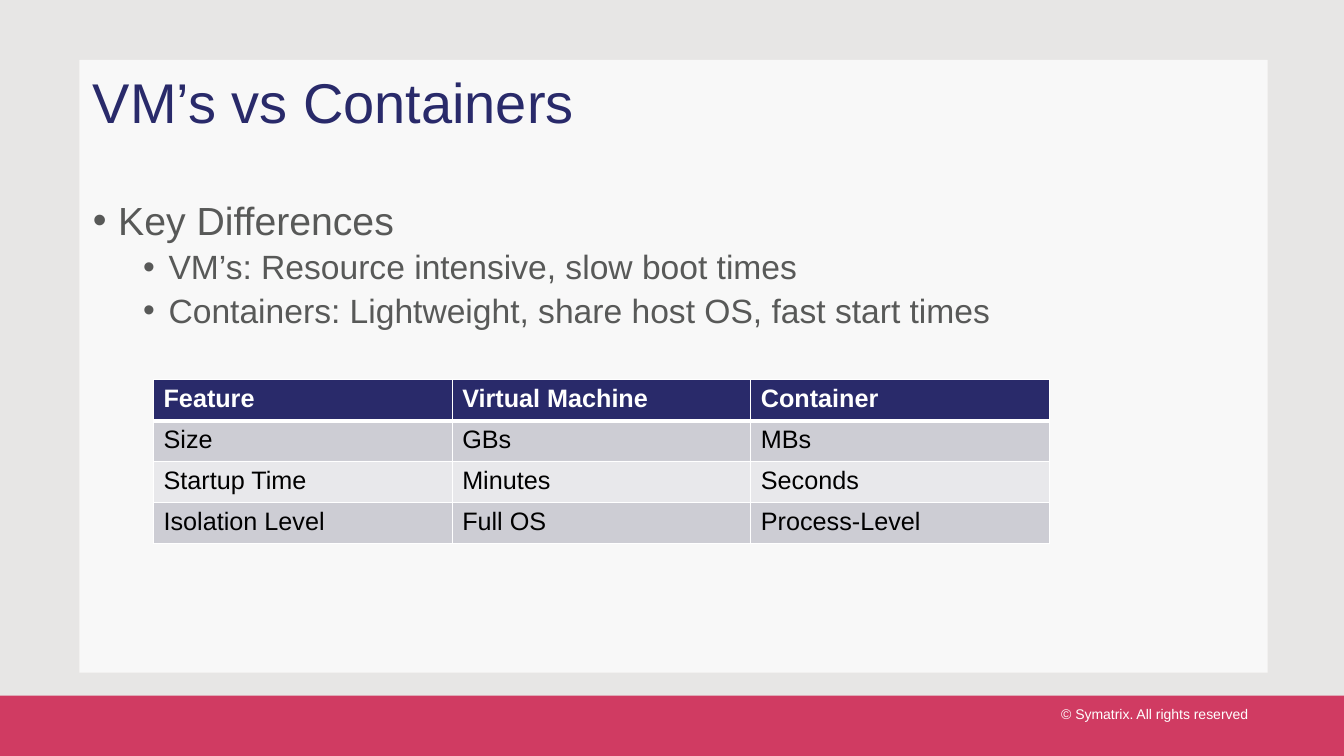
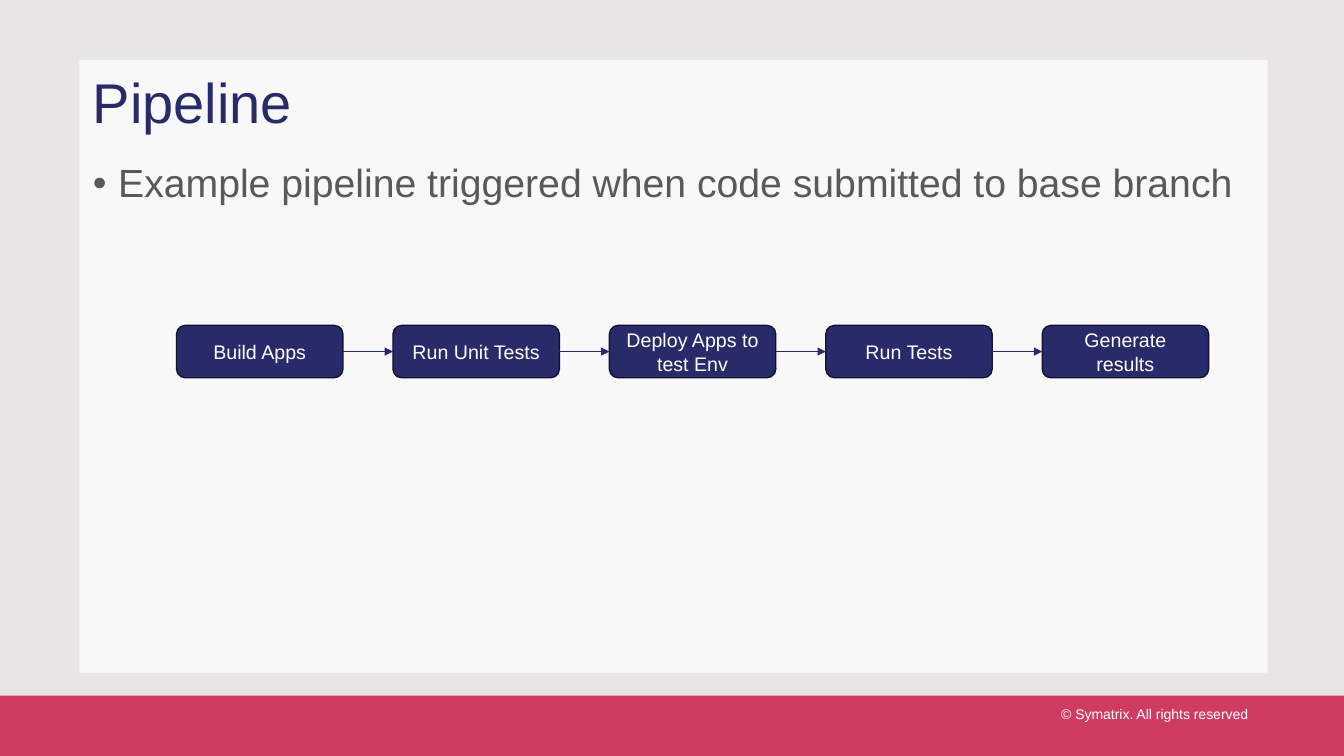
from lxml import etree
from pptx import Presentation
from pptx.dml.color import RGBColor
from pptx.enum.shapes import MSO_CONNECTOR, MSO_SHAPE
from pptx.enum.text import MSO_ANCHOR, PP_ALIGN
from pptx.oxml.ns import qn
from pptx.util import Cm, Pt

RECT, ROUND_RECT = MSO_SHAPE.RECTANGLE, MSO_SHAPE.ROUNDED_RECTANGLE
STRAIGHT = MSO_CONNECTOR.STRAIGHT
LEFT, CENTER, RIGHT = PP_ALIGN.LEFT, PP_ALIGN.CENTER, PP_ALIGN.RIGHT
TOP, MIDDLE = MSO_ANCHOR.TOP, MSO_ANCHOR.MIDDLE
LEFT_SITE, RIGHT_SITE = 1, 3

FONT = "Arial"
COLORS = {
    "background": "E7E6E5", "white": "FFFFFF", "black": "000000",
    "band": "D03B62", "navy": "292A6A", "outline": "12122E",
    "body": "585958", "row_dark": "CDCDD4", "row_light": "E8E8EB",
}
SLIDE_W, SLIDE_H = 33.87, 19.05
BAND_H = 1.52
TEXT_LEFT, TEXT_W = 2.34, 29.21
# Bullet levels: left margin (cm), size (pt), space before (pt)
LEVELS = [(0.64, 28, 10), (1.91, 24, 5)]
BULLET_HANG = 0.64


def color(name):
    return RGBColor.from_string(COLORS[name])


def add_run(p, text, size, color_name, bold=False):
    r = p.add_run()
    r.text = text
    r.font.name = FONT
    r.font.size = Pt(size)
    r.font.bold = bold
    r.font.color.rgb = color(color_name)


def add_box(s, shape, box, fill, line=None):
    sp = s.shapes.add_shape(shape, *map(Cm, box))
    sp.shadow.inherit = False
    sp.fill.solid()
    sp.fill.fore_color.rgb = color(fill)
    if line:
        sp.line.color.rgb = color(line)
        sp.line.width = Pt(1)
    else:
        sp.line.fill.background()
    return sp


def add_text_frame(s, box):
    """Add a wrapping text box without margins and return its frame."""
    tf = s.shapes.add_textbox(*map(Cm, box)).text_frame
    tf.word_wrap = True
    tf.vertical_anchor = TOP
    tf.margin_left = tf.margin_top = tf.margin_right = tf.margin_bottom = 0
    return tf


def add_base_slide(prs, title):
    """Add a slide with the shared background, panel, footer and title."""
    s = prs.slides.add_slide(prs.slide_layouts[6])
    s.background.fill.solid()
    s.background.fill.fore_color.rgb = color("background")

    panel = add_box(s, RECT, (2, 1.51, 29.95, 15.44), "white")
    rgb = panel.element.spPr.find(qn("a:solidFill")).find(qn("a:srgbClr"))
    etree.SubElement(rgb, qn("a:alpha"), val="75000")

    band_top = SLIDE_H - BAND_H
    add_box(s, RECT, (0, band_top, SLIDE_W, BAND_H), "band")
    p = add_text_frame(s, (16.94, band_top + 0.25, 14.61, 1.02)).paragraphs[0]
    p.alignment = RIGHT
    add_run(p, "© Symatrix. All rights reserved ", 10, "white")

    p = add_text_frame(s, (TEXT_LEFT, 1.89, TEXT_W, 2.57)).paragraphs[0]
    p.line_spacing = 0.9
    add_run(p, title, 40, "navy")
    return s


def add_bullets(s, box, items):
    """Fill the box with (level, text) items."""
    tf = add_text_frame(s, box)
    for i, (level, text) in enumerate(items):
        p = tf.add_paragraph() if i else tf.paragraphs[0]
        margin, size, space = LEVELS[level]
        pPr = p._p.get_or_add_pPr()
        pPr.set("marL", str(Cm(margin)))
        pPr.set("indent", str(-Cm(BULLET_HANG)))
        etree.SubElement(pPr, qn("a:buFont"), typeface=FONT)
        etree.SubElement(pPr, qn("a:buChar"), char="•")
        p.level = level
        p.alignment = LEFT
        p.line_spacing = 0.9
        if i:
            p.space_before = Pt(space)
        add_run(p, text, size, "body")


def add_cell_borders(cell, widths):
    """Draw white borders; widths maps a side letter to points."""
    tcPr = cell._tc.get_or_add_tcPr()
    for side in "LRTB":
        ln = etree.SubElement(tcPr, qn(f"a:ln{side}"), w=str(Pt(widths[side])))
        fill = etree.SubElement(ln, qn("a:solidFill"))
        etree.SubElement(fill, qn("a:srgbClr"), val=COLORS["white"])


def add_comparison_table(s, box, rows):
    n_rows, n_cols = len(rows), len(rows[0])
    table = s.shapes.add_table(n_rows, n_cols, *map(Cm, box)).table
    for col in table.columns:
        col.width = Cm(box[2] / n_cols)
    for i, texts in enumerate(rows):
        table.rows[i].height = Cm(box[3] / n_rows)
        header = i == 0
        fill = "navy" if header else ("row_light", "row_dark")[i % 2]
        widths = {"L": 1, "R": 1, "T": 3 if i == 1 else 1,
                  "B": 3 if header else 1}
        for j, text in enumerate(texts):
            cell = table.cell(i, j)
            add_cell_borders(cell, widths)
            cell.fill.solid()
            cell.fill.fore_color.rgb = color(fill)
            add_run(cell.text_frame.paragraphs[0], text, 18,
                    "white" if header else "black", bold=header)


def add_arrow(s, start, end):
    c = s.shapes.add_connector(STRAIGHT, 0, 0, 0, 0)
    c.begin_connect(start, RIGHT_SITE)
    c.end_connect(end, LEFT_SITE)
    c.line.color.rgb = color("navy")
    c.line.width = Pt(0.5)
    spPr = c.element.spPr
    etree.SubElement(spPr.find(qn("a:ln")), qn("a:tailEnd"), type="triangle")
    etree.SubElement(spPr, qn("a:effectLst"))


def add_pipeline(s, box, steps, gap=1.26):
    """Spread the steps evenly over the box and join them with arrows."""
    left, top, width, height = box
    step_w = (width - gap * (len(steps) - 1)) / len(steps)
    shapes = []
    for i, text in enumerate(steps):
        sp = add_box(s, ROUND_RECT,
                     (left + i * (step_w + gap), top, step_w, height),
                     "navy", "outline")
        tf = sp.text_frame
        tf.word_wrap = True
        tf.vertical_anchor = MIDDLE
        p = tf.paragraphs[0]
        p.alignment = CENTER
        add_run(p, text, 14, "white")
        shapes.append(sp)
    for start, end in zip(shapes, shapes[1:]):
        add_arrow(s, start, end)


def build_comparison(prs):
    s = add_base_slide(prs, "VM’s vs Containers")
    add_bullets(s, (TEXT_LEFT, 5.08, TEXT_W, 12.09), [
        (0, "Key Differences"),
        (1, "VM’s: Resource intensive, slow boot times"),
        (1, "Containers: Lightweight, share host OS, fast start times"),
    ])
    add_comparison_table(s, (3.87, 9.57, 22.58, 4.12), [
        ("Feature", "Virtual Machine", "Container"),
        ("Size", "GBs", "MBs"),
        ("Startup Time", "Minutes", "Seconds"),
        ("Isolation Level", "Full OS", "Process-Level"),
    ])


def build_pipeline(prs):
    s = add_base_slide(prs, "Pipeline")
    add_bullets(s, (TEXT_LEFT, 4.13, TEXT_W, 12.09), [
        (0, "Example pipeline triggered when code submitted to base branch"),
    ])
    add_pipeline(s, (4.45, 8.2, 26.01, 1.32), [
        "Build Apps", "Run Unit Tests", "Deploy Apps to test Env",
        "Run Tests", "Generate results",
    ])


def main():
    prs = Presentation()
    prs.slide_width, prs.slide_height = Cm(SLIDE_W), Cm(SLIDE_H)
    build_comparison(prs)
    build_pipeline(prs)
    prs.save("out.pptx")


if __name__ == "__main__":
    main()
